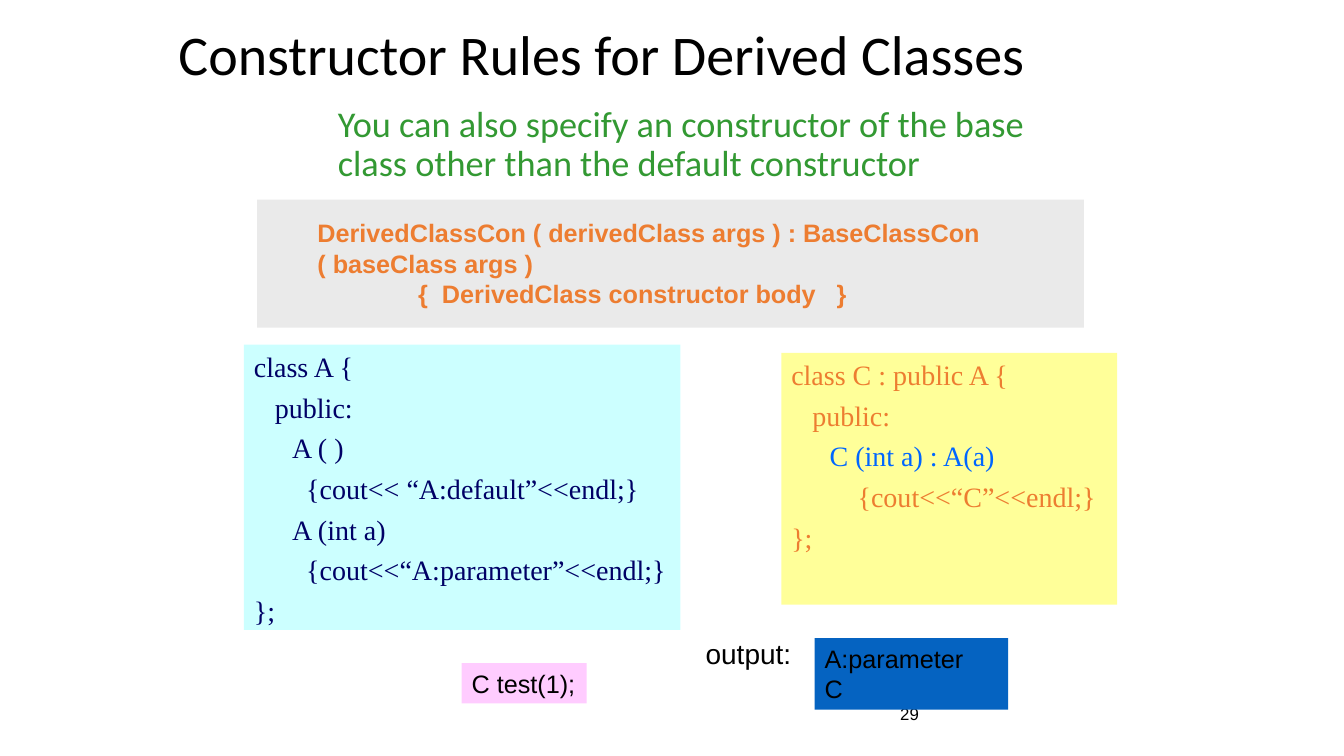
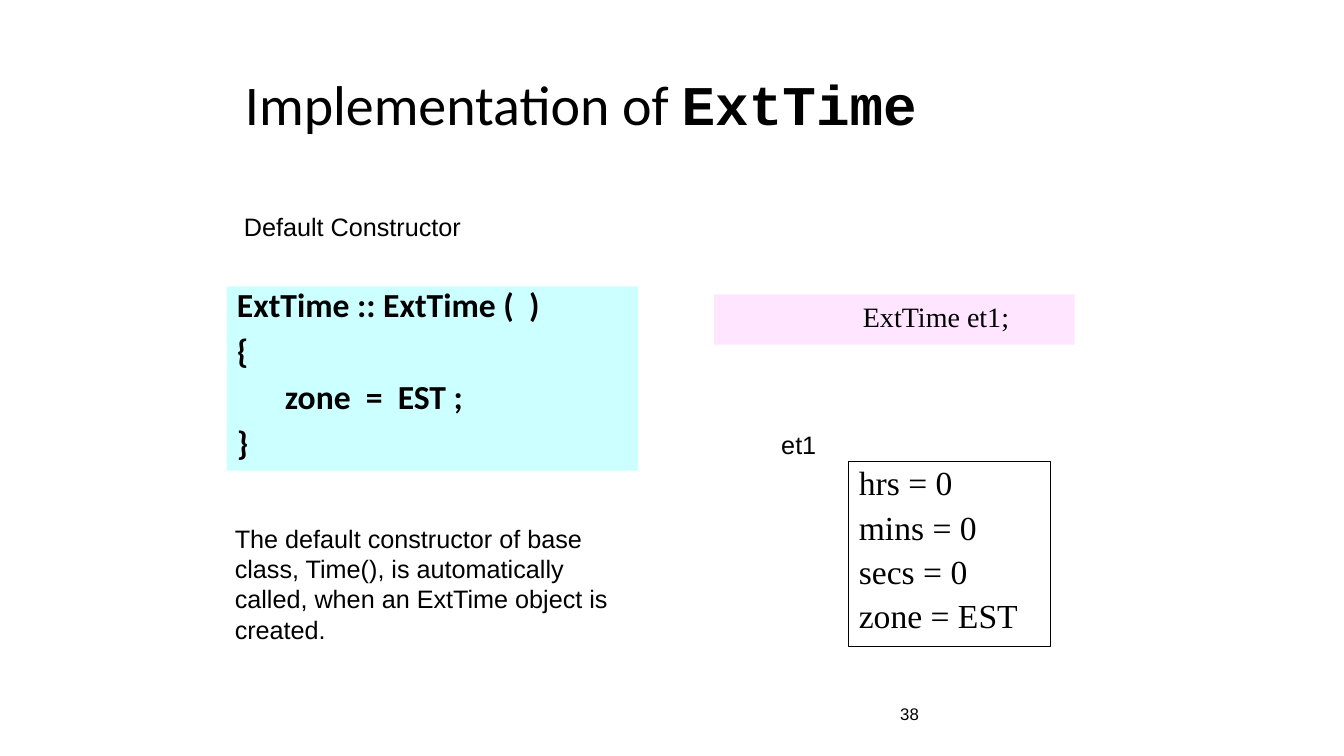
from dataclasses import dataclass, replace
from typing import Optional, Union

from lxml import etree
from pptx import Presentation
from pptx import util as u
from pptx.dml.color import RGBColor
from pptx.enum import shapes, text
from pptx.oxml.ns import qn

PX = 9144

BLACK = RGBColor(0x00, 0x00, 0x00)
NAVY = RGBColor(0x00, 0x00, 0x66)
GREEN = RGBColor(0x33, 0x99, 0x33)
ORANGE = RGBColor(0xED, 0x7D, 0x31)
BLUE = RGBColor(0x00, 0x66, 0xFF)
OUTPUT_BLUE = RGBColor(0x05, 0x63, 0xC1)
CYAN = RGBColor(0xCC, 0xFF, 0xFF)
YELLOW = RGBColor(0xFF, 0xFF, 0x99)
PINK = RGBColor(0xFF, 0xCC, 0xFF)
PALE_PINK = RGBColor(0xFF, 0xE5, 0xFF)
GRAY = RGBColor(0xEA, 0xEA, 0xEA)


@dataclass(frozen=True)
class Style:
    name: str = "Arial"
    size: float = 18
    color: RGBColor = BLACK
    bold: bool = False
    spacing: float = 1.0
    before: float = 0
    left: int = 0
    first: int = 0


@dataclass(frozen=True)
class Span:
    text: str
    style: Style


Line = Union[str, Span, tuple[Span, ...]]


@dataclass(frozen=True)
class Box:
    at: tuple[int, int, int, int]
    lines: tuple[Line, ...]
    style: Style
    fill: Optional[RGBColor] = None
    line: Optional[RGBColor] = None
    wrap: bool = True
    top: int = 5
    anchor: text.MSO_ANCHOR = text.MSO_ANCHOR.TOP


@dataclass(frozen=True)
class Page:
    number: str
    title: Box
    body: Box
    boxes: tuple[Box, ...]


LABEL = Style()
OUTPUT_LABEL = replace(LABEL, size=20)
NUMBER = replace(LABEL, size=12)
TITLE = Style("Calibri", 40, spacing=0.9)
TITLE_CODE = replace(TITLE, name="Courier New", bold=True)
NOTE = Style("Calibri", 25.9, GREEN, spacing=0.9, left=25)
BODY_CODE = Style("Calibri", 24, bold=True, spacing=0.8, before=10, left=25, first=-25)
CODE = Style("Times New Roman", 20, NAVY, before=5, left=38, first=-38)
DERIVED_CODE = replace(CODE, color=ORANGE)
CALL = replace(CODE, color=BLACK, left=138, first=0)
FIELDS = replace(CODE, size=24, color=BLACK, spacing=0.9, before=5.8)
SYNTAX = replace(LABEL, color=ORANGE, bold=True, left=50)
SYNTAX_BODY = replace(SYNTAX, left=150)

NUMBER_AT = (883, 683, 208, 50)
BOTTOM, MIDDLE = text.MSO_ANCHOR.BOTTOM, text.MSO_ANCHOR.MIDDLE

PAGES = (
    Page(
        "29",
        Box((167, 17, 979, 75), ("Constructor Rules for Derived Classes",), TITLE, anchor=BOTTOM),
        Box(
            (300, 100, 742, 100),
            ("You can also specify an constructor of the base class other than the default constructor",),
            NOTE,
        ),
        (
            Box(
                (242, 342, 433, 283),
                (
                    "class A {",
                    "   public:",
                    "\tA ( )",
                    "\t  {cout<< “A:default”<<endl;}",
                    "\tA (int a)",
                    "\t  {cout<<“A:parameter”<<endl;}",
                    "};",
                ),
                CODE,
                CYAN,
            ),
            Box(
                (775, 350, 333, 250),
                (
                    "class C : public A {",
                    "   public:",
                    Span("\tC (int a) : A(a)", replace(DERIVED_CODE, color=BLUE)),
                    "\t    {cout<<“C”<<endl;}",
                    "};",
                ),
                DERIVED_CODE,
                YELLOW,
            ),
            Box((458, 658, 124, 40), ("C test(1);",), LABEL, PINK, wrap=False),
            Box((808, 633, 192, 71), ("A:parameter", "C"), LABEL, OUTPUT_BLUE),
            Box((690, 627, 106, 44), ("output:",), OUTPUT_LABEL, wrap=False),
            Box(
                (255, 198, 820, 127),
                (
                    "DerivedClassCon ( derivedClass args ) : BaseClassCon ( baseClass args )",
                    Span("{  DerivedClass constructor body   }", SYNTAX_BODY),
                ),
                SYNTAX,
                GRAY,
                top=18,
            ),
        ),
    ),
    Page(
        "38",
        Box(
            (233, 50, 858, 92),
            ((Span("Implementation of ", TITLE), Span("ExtTime", TITLE_CODE)),),
            TITLE,
            anchor=BOTTOM,
        ),
        Box(
            (225, 284, 408, 183),
            ("ExtTime :: ExtTime (  )", "{", "\t   zone  =  EST ;", "}"),
            BODY_CODE,
            CYAN,
        ),
        (
            Box((232, 205, 238, 40), ("Default Constructor",), LABEL, wrap=False),
            Box(
                (223, 514, 418, 131),
                (
                    "The default constructor of base class, Time(), is automatically called, "
                    "when an ExtTime object is created.",
                ),
                LABEL,
            ),
            Box((708, 292, 358, 50), ("ExtTime et1;",), CALL, PALE_PINK),
            Box(
                (842, 458, 200, 183),
                ("hrs = 0", "mins = 0", "secs = 0", "zone = EST"),
                FIELDS,
                line=BLACK,
            ),
            Box((765, 421, 55, 40), ("et1",), LABEL, wrap=False),
        ),
    ),
)


def px(n: int) -> u.Emu:
    return u.Emu(n * PX)


def apply(obj, values: dict) -> None:
    for key, value in values.items():
        setattr(obj, key, value)


def add_line(p, line: Line, style: Style, is_first: bool) -> None:
    if isinstance(line, str):
        line = Span(line, style)
    spans = (line,) if isinstance(line, Span) else line
    style = spans[0].style
    pPr = p._p.get_or_add_pPr()
    pPr.set("marL", str(px(style.left)))
    pPr.set("indent", str(px(style.first)))
    etree.SubElement(pPr, qn("a:buNone"))
    apply(p, {
        "alignment": text.PP_ALIGN.LEFT,
        "line_spacing": style.spacing,
        "space_before": u.Pt(0 if is_first else style.before),
        "space_after": u.Pt(0),
    })
    for span in spans:
        r = p.add_run()
        r.text = span.text
        s = span.style
        apply(r.font, {"name": s.name, "size": u.Pt(s.size), "bold": s.bold})
        r.font.color.rgb = s.color


def fill_box(sp, box: Box) -> None:
    apply(sp, dict(zip(("left", "top", "width", "height"), map(px, box.at))))
    if box.fill is not None:
        sp.fill.solid()
        sp.fill.fore_color.rgb = box.fill
    else:
        sp.fill.background()
    if box.line is not None:
        sp.line.color.rgb = box.line
        sp.line.width = u.Pt(0.75)
    else:
        sp.line.fill.background()
    tf = sp.text_frame
    apply(tf, {
        "auto_size": text.MSO_AUTO_SIZE.NONE,
        "word_wrap": box.wrap,
        "vertical_anchor": box.anchor,
        "margin_left": px(10),
        "margin_right": px(10),
        "margin_top": px(box.top),
        "margin_bottom": px(5),
    })
    for i, line in enumerate(box.lines):
        p = tf.add_paragraph() if i else tf.paragraphs[0]
        add_line(p, line, box.style, i == 0)


def add_box(s, box: Box) -> None:
    at = map(px, box.at)
    if box.fill is None and box.line is None:
        sp = s.shapes.add_textbox(*at)
    else:
        sp = s.shapes.add_shape(shapes.MSO_SHAPE.RECTANGLE, *at)
        sp.shadow.inherit = False
    fill_box(sp, box)


def add_page(prs, page: Page) -> None:
    s = prs.slides.add_slide(prs.slide_layouts[1])
    fill_box(s.shapes.title, page.title)
    fill_box(s.placeholders[1], page.body)
    number = Box(NUMBER_AT, (page.number,), NUMBER, anchor=MIDDLE)
    for box in (number, *page.boxes):
        add_box(s, box)


def main() -> None:
    prs = Presentation()
    apply(prs, {"slide_width": px(1333), "slide_height": px(750)})
    for page in PAGES:
        add_page(prs, page)
    prs.save("out.pptx")


if __name__ == "__main__":
    main()
